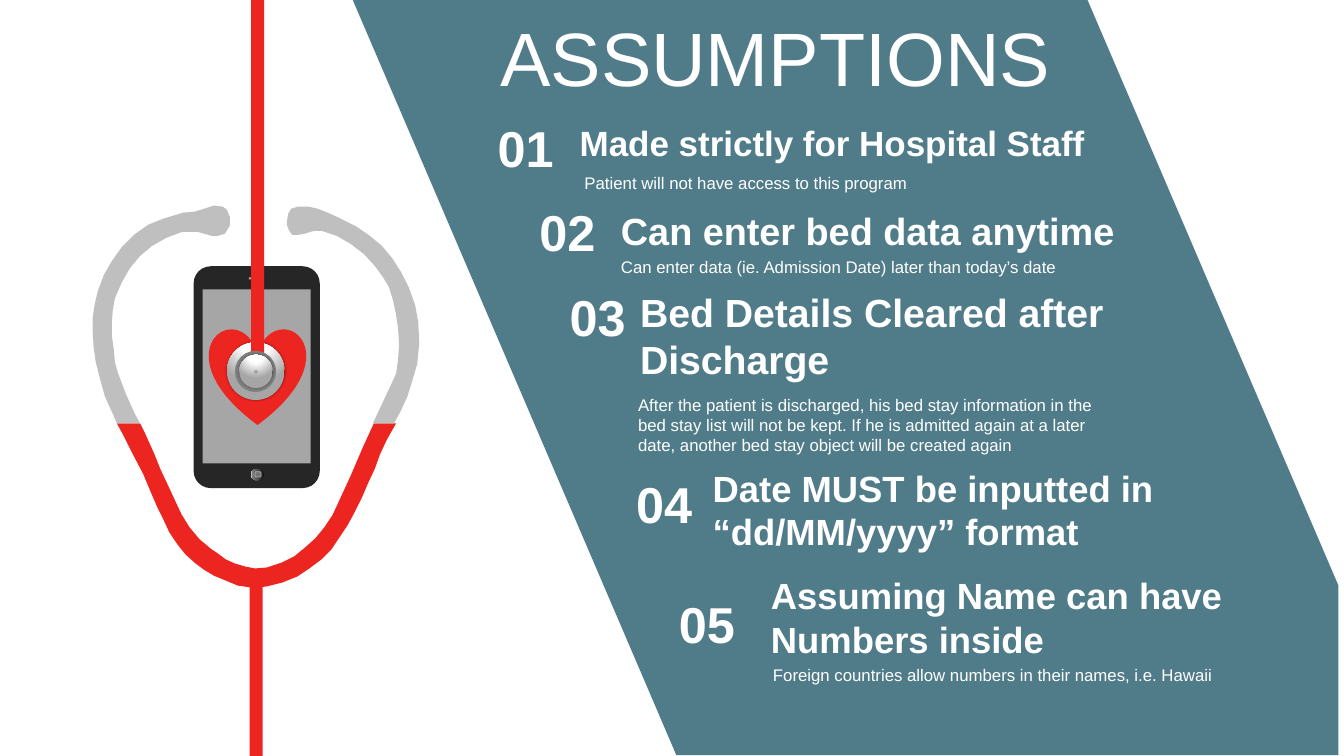
"""Build the ASSUMPTIONS slide with a stethoscope and phone illustration."""
from lxml import etree
from pptx import Presentation
from pptx.dml.color import RGBColor
from pptx.enum.shapes import MSO_SHAPE
from pptx.enum.text import MSO_ANCHOR, MSO_AUTO_SIZE, PP_ALIGN
from pptx.oxml import parse_xml
from pptx.oxml.ns import qn
from pptx.util import Cm, Pt

RECTANGLE = MSO_SHAPE.RECTANGLE
ROUNDED = MSO_SHAPE.ROUNDED_RECTANGLE
OVAL = MSO_SHAPE.OVAL
HEART = MSO_SHAPE.HEART
LEFT, CENTER = PP_ALIGN.LEFT, PP_ALIGN.CENTER
TOP, MIDDLE = MSO_ANCHOR.TOP, MSO_ANCHOR.MIDDLE
NO_RESIZE = MSO_AUTO_SIZE.NONE

FONT = "Arial"
NAMESPACE = "http://schemas.openxmlformats.org/drawingml/2006/main"
COLORS = {
    "teal": "507C89", "red": "ED2521", "white": "FFFFFF", "tube": "BFBFBF",
    "case": "262626", "speaker": "B0B0B0", "screen": "A6A6A6",
    "glyph": "737373", "ring": "808080", "shadow": "000000",
}
BUTTON_STOPS = [(0, "0F0F0F"), (56, "595959"), (91, "808080"), (100, "BFBFBF")]
METAL_STOPS = [(0, "FFFFFF"), (35, "FFFFFF"), (100, "A6A6A6")]
BUTTON_DIRECTION = '<a:lin ang="10800000" scaled="0"/>'
METAL_DIRECTION = ('<a:path path="circle"><a:fillToRect l="50000" t="-80000" '
                   'r="50000" b="180000"/></a:path>')

BAND = [(350, 0), (1079, 0), (1328, 581), (1328, 749), (671, 749)]
RED_TUBE = [
    (116, 420), (139, 420), (144, 430), (153, 450), (159, 465), (166, 480),
    (173, 495), (180, 510), (188, 523), (198, 535), (210, 545), (216, 549),
    (224, 555), (233, 559), (243, 562), (253, 564), (265, 563), (280, 558),
    (292, 552), (303, 543), (313, 534), (322, 523), (330, 511), (336, 498),
    (342, 485), (348, 472), (354, 458), (360, 444), (371, 420), (393, 420),
    (392, 422), (384, 436), (377, 451), (372, 465), (365, 480), (359, 494),
    (352, 508), (345, 521), (337, 533), (329, 545), (319, 555), (307, 564),
    (295, 572), (280, 578), (264, 582), (250, 583), (236, 581), (224, 576),
    (212, 571), (202, 565), (194, 559), (184, 550), (176, 540), (168, 528),
    (162, 515), (156, 503), (150, 489), (142, 470), (132, 451), (122, 431),
]
RIGHT_EARPIECE = [
    (296, 205), (306, 205), (315, 207), (325, 211), (334, 215), (342, 219),
    (354, 225), (367, 234), (379, 244), (389, 256), (398, 270), (406, 286),
    (412, 303), (415, 320), (416, 340), (414, 361), (409, 378), (404, 394),
    (397, 409), (391, 420), (370, 420), (393, 371), (395, 357), (396, 342),
    (395, 326), (393, 312), (390, 298), (386, 285), (380, 275), (372, 264),
    (361, 252), (348, 242), (334, 234), (319, 229), (313, 229), (308, 230),
    (302, 232), (296, 233), (290, 233), (287, 229), (285, 224), (285, 218),
    (286, 212), (289, 207),
]
LEFT_EARPIECE = [
    (212, 204), (221, 205), (225, 208), (228, 215), (228, 224), (223, 232),
    (216, 234), (210, 234), (203, 232), (196, 230), (189, 230), (181, 230),
    (165, 236), (151, 244), (139, 254), (129, 266), (121, 280), (114, 296),
    (112, 307), (111, 320), (111, 333), (113, 347), (114, 359), (117, 370),
    (125, 391), (134, 411), (139, 420), (116, 420), (113, 413), (104, 393),
    (98, 371), (95, 359), (93, 345), (92, 330), (92, 315), (94, 302),
    (97, 289), (103, 273), (111, 259), (121, 245), (133, 233), (147, 223),
    (162, 217), (172, 214), (182, 211), (193, 210), (203, 207),
]
OUTLINES = [
    ("teal", [BAND]),
    ("red", [RED_TUBE]),
    ("tube", [RIGHT_EARPIECE, LEFT_EARPIECE]),
]
PARTS = [
    (ROUNDED, (4.88, 6.71, 3.18, 5.59), "case"),
    (RECTANGLE, (6.27, 6.99, 0.08, 0.05), "speaker"),
    (OVAL, (6.32, 11.81, 0.33, 0.3), "button"),
    (ROUNDED, (6.43, 11.89, 0.15, 0.13), "glyph"),
    (RECTANGLE, (5.11, 7.29, 2.72, 4.39), "screen"),
    (HEART, (5.27, 8.27, 2.44, 2.44), "red"),
    (RECTANGLE, (6.29, 14.49, 0.33, 4.56), "red"),
    (OVAL, (5.72, 8.63, 1.45, 1.45), "metal"),
    (RECTANGLE, (6.33, 0, 0.33, 9.1), "red"),
    (OVAL, (5.92, 8.84, 1.04, 1.04), "ring"),
    (OVAL, (6.03, 8.94, 0.84, 0.84), "metal"),
    (OVAL, (6.4, 9.32, 0.1, 0.1), "screen"),
]
ASSUMPTIONS = [
    ((11.85, 2.82, 2.79, 1.8), (14.31, 2.93, 15.32, 1.32), 25,
     "Made strictly for Hospital Staff",
     (14.48, 4.22, 13.11, 0.76), "Patient will not have access to this program"),
    ((12.85, 4.93, 2.9, 1.8), (15.35, 5.11, 13.59, 1.42), 27,
     "Can enter bed data anytime",
     (15.4, 6.35, 13.59, 0.76),
     "Can enter data (ie. Admission Date) later than today’s date"),
    ((13.84, 7.09, 2.44, 3.51), (15.83, 7.14, 15.21, 2.84), 28,
     "Bed Details Cleared after Discharge",
     (15.83, 9.81, 12.55, 3.51),
     "After the patient is discharged, his bed stay information in the bed stay "
     "list will not be kept. If he is admitted again at a later date, another "
     "bed stay object will be created again"),
    ((15.4, 11.79, 2.67, 1.8), (17.66, 11.61, 12.52, 2.57), 26,
     "Date MUST be inputted in “dd/MM/yyyy” format", None, None),
    ((16.47, 14.81, 2.69, 2.11), (19.13, 14.31, 12.67, 2.92), 26,
     "Assuming Name can have Numbers inside",
     (19.23, 16.62, 11.73, 1.27),
     "Foreign countries allow numbers in their names, i.e. Hawaii"),
]


def apply_gradient(shape, stops, direction):
    shape.fill.gradient()
    gradient = shape.element.spPr.find(qn("a:gradFill"))
    stop_xml = "".join(
        f'<a:gs pos="{position * 1000}"><a:srgbClr val="{color}"/></a:gs>'
        for position, color in stops)
    shape.element.spPr.replace(gradient, parse_xml(
        f'<a:gradFill xmlns:a="{NAMESPACE}" rotWithShape="1">'
        f'<a:gsLst>{stop_xml}</a:gsLst>{direction}</a:gradFill>'))


def write_text(shape, text, size, bold=False, align=LEFT, inset=0.25, anchor=TOP):
    frame = shape.text_frame
    frame.word_wrap = True
    frame.auto_size = NO_RESIZE
    frame.vertical_anchor = anchor
    frame.margin_left = frame.margin_right = Cm(inset)
    frame.margin_top = frame.margin_bottom = Cm(0.13)
    paragraph = frame.paragraphs[0]
    paragraph.alignment = align
    run = paragraph.add_run()
    run.text = text
    run.font.name = FONT
    run.font.size = Pt(size)
    run.font.bold = bold
    run.font.color.rgb = RGBColor.from_string(COLORS["white"])


presentation = Presentation()
presentation.slide_width, presentation.slide_height = Cm(33.87), Cm(19.05)
slide = presentation.slides.add_slide(presentation.slide_layouts[5])
shapes = slide.shapes

for color, contours in OUTLINES:
    builder = shapes.build_freeform(*contours[0][0], scale=Cm(0.0254))
    builder.add_line_segments(contours[0][1:], close=True)
    for contour in contours[1:]:
        builder.move_to(*contour[0])
        builder.add_line_segments(contour[1:], close=True)
    outline = builder.convert_to_shape()
    outline.shadow.inherit = False
    outline.fill.solid()
    outline.fill.fore_color.rgb = RGBColor.from_string(COLORS[color])
    outline.line.fill.background()

for kind, box, paint in PARTS:
    part = shapes.add_shape(kind, *map(Cm, box))
    part.shadow.inherit = False
    part.line.fill.background()
    if paint == "case":
        part.adjustments[0] = 0.136
    if paint == "button":
        apply_gradient(part, BUTTON_STOPS, BUTTON_DIRECTION)
    elif paint == "metal":
        apply_gradient(part, METAL_STOPS, METAL_DIRECTION)
        effects = part.element.spPr.find(qn("a:effectLst"))
        shadow = etree.SubElement(effects, qn("a:outerShdw"), blurRad=str(Pt(2)), dist="0")
        shade = etree.SubElement(shadow, qn("a:srgbClr"), val=COLORS["shadow"])
        etree.SubElement(shade, qn("a:alpha"), val="40000")
    else:
        part.fill.solid()
        part.fill.fore_color.rgb = RGBColor.from_string(COLORS[paint])
    if paint == "glyph":
        part.line.color.rgb = RGBColor.from_string(COLORS["speaker"])
        part.line.width = Pt(0.5)

title = shapes.title
title.left, title.top, title.width, title.height = map(Cm, (12.36, 0.13, 16.74, 2.57))
write_text(title, "ASSUMPTIONS", 54, anchor=MIDDLE)
shapes.element.append(title.element)

for index, (number_box, heading_box, size, heading, note_box, note) in enumerate(ASSUMPTIONS, 1):
    write_text(shapes.add_textbox(*map(Cm, heading_box)), heading, size, True, inset=0.3)
    write_text(shapes.add_textbox(*map(Cm, number_box)), f"{index:02}", 36, True, CENTER, 0.3)
    if note:
        write_text(shapes.add_textbox(*map(Cm, note_box)), note, 12)

presentation.save("out.pptx")
